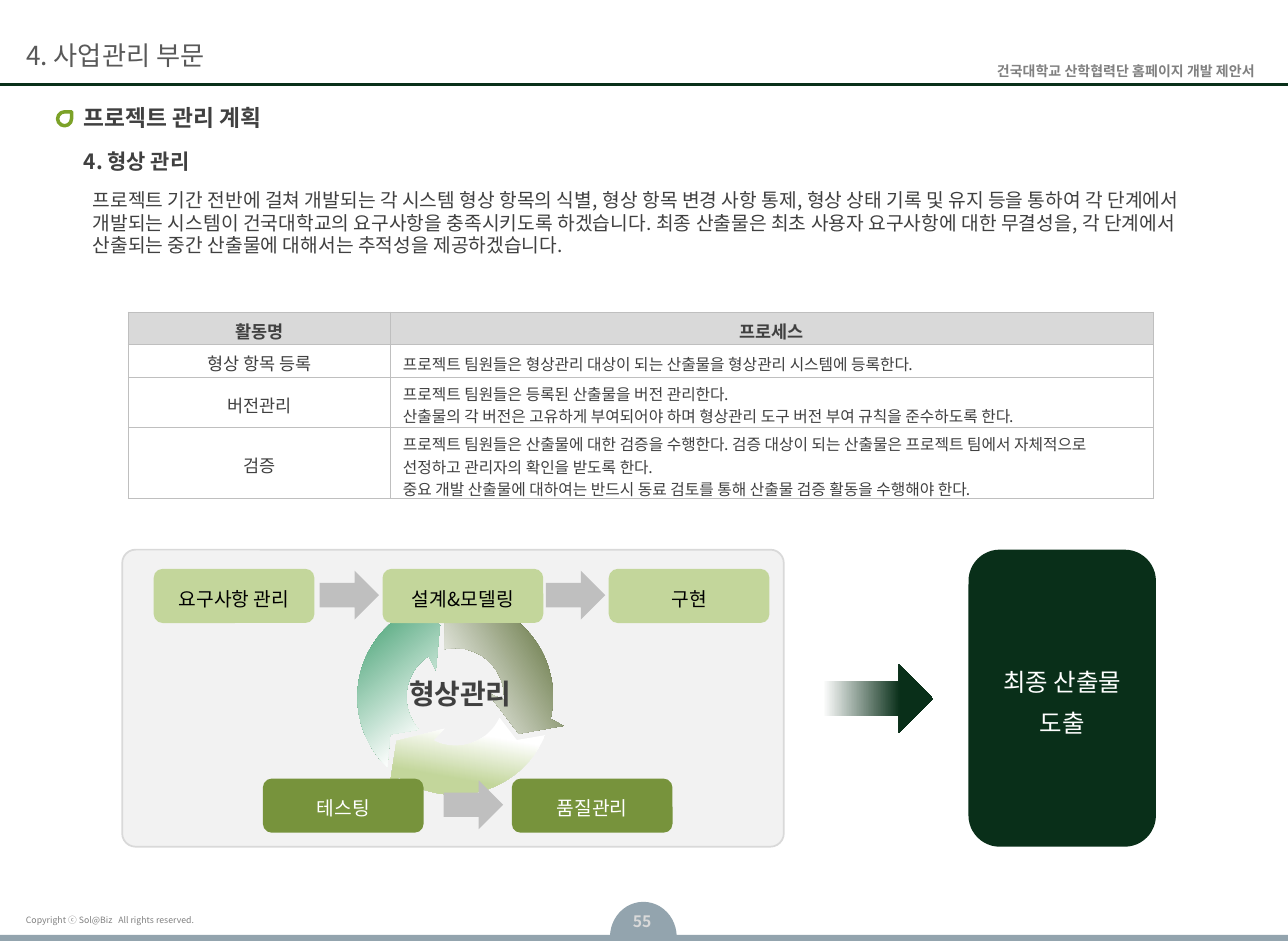
from collections import namedtuple
from dataclasses import dataclass
from math import cos, radians, sin

from lxml.etree import SubElement
from pptx import Presentation
from pptx.dml.color import RGBColor
from pptx.enum.shapes import MSO_CONNECTOR, MSO_SHAPE
from pptx.enum.text import MSO_ANCHOR, PP_ALIGN
from pptx.oxml.ns import qn
from pptx.util import Pt

Box = namedtuple("Box", "left top width height")


@dataclass(frozen=True)
class Theme:
    font: str = "Noto Sans CJK KR"
    header_font: str = "Arial"
    text: str = "404040"
    heading: str = "595959"
    muted: str = "808080"
    white: str = "FFFFFF"
    black: str = "000000"
    forest: str = "092F19"
    rule: str = "093019"
    slate: str = "93A4AE"
    leaf: str = "7CA228"
    light_green: str = "C3D69B"
    mid_green: str = "77933C"
    olive: str = "4F6228"
    teal: str = "339966"
    gray: str = "BFBFBF"
    pale_gray: str = "D9D9D9"
    panel: str = "F2F2F2"
    copyright: float = 5
    small: float = 8
    detail: float = 9
    cell: float = 10
    body: float = 11
    subtitle: float = 12
    title: float = 13
    result: float = 14
    section: float = 15
    ring: float = 16


THEME = Theme()
PANEL_INSETS = (7.2, 3.6, 7.2, 5.8)


def rgb(value):
    return RGBColor.from_string(value)


def inside(box, left, top, width, height):
    return Box(box.left + left, box.top + top, width, height)


def write_text(frame, lines, size, color=THEME.text, bold=False, name=THEME.font,
               align=PP_ALIGN.LEFT, spacing=None, anchor=MSO_ANCHOR.TOP, insets=(0, 0, 0, 0)):
    sides = ("margin_left", "margin_top", "margin_right", "margin_bottom")
    layout = dict(zip(sides, map(Pt, insets)), word_wrap=True, vertical_anchor=anchor)
    for key, value in layout.items():
        setattr(frame, key, value)
    for index, line in enumerate(lines):
        para = frame.paragraphs[0] if index == 0 else frame.add_paragraph()
        for key, value in {"alignment": align, "line_spacing": spacing}.items():
            setattr(para, key, value)
        span = para.add_run()
        span.text = line
        for key, value in {"name": name, "size": Pt(size), "bold": bold}.items():
            setattr(span.font, key, value)
        span.font.color.rgb = rgb(color)
        SubElement(span.font._element, qn("a:ea"), typeface=THEME.font)


def add_text(page, box, lines, size, **formats):
    area = page.shapes.add_textbox(*map(Pt, box))
    write_text(area.text_frame, lines, size, **formats)


def paint(shape, fill, line=None, width=1):
    shape.shadow.inherit = False
    if isinstance(fill, str):
        shape.fill.solid()
        shape.fill.fore_color.rgb = rgb(fill)
    else:
        angle, *stops = fill
        shape.fill.gradient()
        shape.fill.gradient_angle = -angle % 360
        for stop, (position, color) in zip(shape.fill.gradient_stops, stops):
            stop.position = position
            stop.color.rgb = rgb(color)
    if line:
        shape.line.color.rgb = rgb(line)
        shape.line.width = Pt(width)
    else:
        shape.line.fill.background()


def add_preset(page, kind, box, fill, line=None, width=1, adjustments=()):
    shape = page.shapes.add_shape(kind, *map(Pt, box))
    for index, value in enumerate(adjustments):
        shape.adjustments[index] = value
    paint(shape, fill, line, width)
    return shape


def draw_header(page, box):
    add_text(page, inside(box, 0, 16, 450, 31), ["4. 사업관리 부문"], THEME.section,
             color=THEME.heading, anchor=MSO_ANCHOR.MIDDLE, insets=(15, 3.6, 6.5, 3.6))
    add_text(page, inside(box, 537.8, 32, 187.2, 17), ["건국대학교 산학협력단 홈페이지 개발 제안서"],
             THEME.small, color=THEME.muted, bold=True, name=THEME.header_font,
             align=PP_ALIGN.RIGHT, insets=(0, 3.6, 6.5, 3.6))
    base = Pt(box.top + box.height)
    rule = page.shapes.add_connector(MSO_CONNECTOR.STRAIGHT, Pt(box.left), base,
                                     Pt(box.left + box.width), base)
    rule.line.color.rgb = rgb(THEME.rule)
    rule.line.width = Pt(1.5)
    SubElement(rule._element.spPr, qn("a:effectLst"))


def draw_footer(page, box):
    add_preset(page, MSO_SHAPE.CHORD, inside(box, 349.2, 0, 38.2, 40.3), THEME.slate,
               adjustments=(108.41, 214.66))
    add_preset(page, MSO_SHAPE.RECTANGLE, inside(box, 0, 18.8, box.width, 3.6), THEME.slate)
    add_text(page, inside(box, 9, 4.4, 188, 13), ["Copyright ⓒ Sol@Biz   All rights reserved."],
             THEME.copyright, color=THEME.muted, insets=(5.8, 2.9, 5.8, 2.9))
    add_text(page, inside(box, 349.2, 2, 36.7, 20), ["55"], THEME.detail, color=THEME.pale_gray,
             bold=True, align=PP_ALIGN.CENTER, insets=(6.5, 3.6, 6.5, 3.6))


def draw_introduction(page, box):
    add_preset(page, MSO_SHAPE.TEAR, inside(box, 0, 5, 8, 8), THEME.white, THEME.leaf, 2)
    add_text(page, inside(box, 15, 0.5, 600, 16), ["프로젝트 관리 계획"], THEME.title, bold=True)
    add_text(page, inside(box, 15, 26, 365, 15), ["4. 형상 관리"], THEME.subtitle, bold=True)
    statement = (
        "프로젝트 기간 전반에 걸쳐 개발되는 각 시스템 형상 항목의 식별, 형상 항목 변경 사항 통제, "
        "형상 상태 기록 및 유지 등을 통하여 각 단계에서 개발되는 시스템이 건국대학교의 요구사항을 "
        "충족시키도록 하겠습니다. 최종 산출물은 최초 사용자 요구사항에 대한 무결성을, 각 단계에서 "
        "산출되는 중간 산출물에 대해서는 추적성을 제공하겠습니다.")
    add_text(page, inside(box, 13, 46, 666.7, 55.4), [statement], THEME.body,
             spacing=0.98, insets=(7.2, 3.6, 7.2, 3.6))


def add_borders(cell):
    properties = cell._tc.get_or_add_tcPr()
    for side in ("a:lnL", "a:lnR", "a:lnT", "a:lnB"):
        line = SubElement(properties, qn(side), w=str(Pt(0.5)))
        SubElement(SubElement(line, qn("a:solidFill")), qn("a:srgbClr"), val=THEME.gray)


def draw_activity_table(page, box):
    rows = [
        ("활동명", ["프로세스"], 18.7),
        ("형상 항목 등록", ["프로젝트 팀원들은 형상관리 대상이 되는 산출물을 형상관리 시스템에 등록한다."], 18.7),
        ("버전관리", ["프로젝트 팀원들은 등록된 산출물을 버전 관리한다.",
                  "산출물의 각 버전은 고유하게 부여되어야 하며 형상관리 도구 버전 부여 규칙을 준수하도록 한다."], 28.8),
        ("검증", ["프로젝트 팀원들은 산출물에 대한 검증을 수행한다. 검증 대상이 되는 산출물은 "
                "프로젝트 팀에서 자체적으로 선정하고 관리자의 확인을 받도록 한다.",
                "중요 개발 산출물에 대하여는 반드시 동료 검토를 통해 산출물 검증 활동을 수행해야 한다."], 40.4),
    ]
    table = page.shapes.add_table(len(rows), 2, *map(Pt, box)).table
    table.first_row = table.horz_banding = False
    for column, width in zip(table.columns, (150, box.width - 150)):
        column.width = Pt(width)
    for row, (activity, process, height) in enumerate(rows):
        table.rows[row].height = Pt(height)
        for column, lines in enumerate(([activity], process)):
            cell = table.cell(row, column)
            is_detail = row > 0 and column == 1
            write_text(cell.text_frame, lines, THEME.detail if is_detail else THEME.cell,
                       bold=row == 0, align=PP_ALIGN.LEFT if is_detail else PP_ALIGN.CENTER)
            margins = {"margin_left": 7.2, "margin_top": 2.5, "margin_right": 7.2, "margin_bottom": 0}
            for key, value in margins.items():
                setattr(cell, key, Pt(value))
            cell.vertical_anchor = MSO_ANCHOR.MIDDLE
            add_borders(cell)
            cell.fill.solid()
            cell.fill.fore_color.rgb = rgb(THEME.white if row else THEME.pale_gray)


def draw_ring_arrow(page, center, angles, fill):
    start, notch, inner_start, outer_end, barb, tip, inner_barb, inner_end = angles
    steps = range(25)
    outer = [(56, start + (outer_end - start) * step / 24) for step in steps]
    inner = [(28, inner_end + (inner_start - inner_end) * step / 24) for step in steps]
    polar = outer + [(64, barb), (42, tip), (19, inner_barb)] + inner + [(43, notch)]
    points = [(Pt(center[0] + radius * cos(radians(angle))),
               Pt(center[1] + radius * sin(radians(angle)))) for radius, angle in polar]
    builder = page.shapes.build_freeform(*points[0])
    builder.add_line_segments(points[1:], close=True)
    paint(builder.convert_to_shape(), fill)


def draw_process_panel(page, box):
    add_preset(page, MSO_SHAPE.ROUNDED_RECTANGLE, box, THEME.panel, THEME.pale_gray, 1, (0.045,))
    ring_arrows = [
        ((-112, -98, -103, 13, 15, 30, -6, 3), (150, (0, THEME.olive), (0.82, THEME.white))),
        ((134, 150, 138, 238, 239, 258, 234, 237), (50, (0, THEME.teal), (0.82, THEME.white))),
        ((23, 35, 25, 125, 126, 143, 108, 117), (100, (0.27, THEME.white), (0.74, THEME.light_green))),
    ]
    for angles, fill in ring_arrows:
        draw_ring_arrow(page, (box.left + 190.6, box.top + 84.3), angles, fill)
    add_text(page, inside(box, 151, 39.6, 85, 85), ["형상관리"], THEME.ring, bold=True,
             align=PP_ALIGN.CENTER, anchor=MSO_ANCHOR.MIDDLE)
    stages = [
        (11, THEME.light_green, THEME.black,
         [(18, "요구사항 관리"), (149, "설계&모델링"), (278.5, "구현")], (113, 242.5)),
        (131, THEME.mid_green, THEME.white, [(80.5, "테스팅"), (223, "품질관리")], (184,)),
    ]
    for top, fill, color, steps, arrows in stages:
        for left, label in steps:
            step = add_preset(page, MSO_SHAPE.ROUNDED_RECTANGLE, inside(box, left, top, 92, 31), fill)
            write_text(step.text_frame, [label], THEME.body, color=color, align=PP_ALIGN.CENTER,
                       spacing=1.4, anchor=MSO_ANCHOR.MIDDLE, insets=PANEL_INSETS)
        for left in arrows:
            add_preset(page, MSO_SHAPE.RIGHT_ARROW, inside(box, left, top + 1, 34, 28), THEME.gray)


def draw_result(page, box):
    fade = (0, (0.23, THEME.white), (0.77, THEME.forest))
    add_preset(page, MSO_SHAPE.RIGHT_ARROW, inside(box, 0, 65.5, 82, 39.6), fade)
    result = add_preset(page, MSO_SHAPE.ROUNDED_RECTANGLE,
                        inside(box, 102.2, 0, 107.3, box.height), THEME.forest)
    write_text(result.text_frame, ["최종 산출물", "도출"], THEME.result, color=THEME.white,
               align=PP_ALIGN.CENTER, spacing=1.4, anchor=MSO_ANCHOR.MIDDLE, insets=PANEL_INSETS)


def main():
    deck = Presentation()
    deck.slide_width, deck.slide_height = Pt(737.28), Pt(538.56)
    page = deck.slides.add_slide(deck.slide_layouts[6])
    draw_footer(page, Box(0, 516.2, 737.28, 22.4))
    draw_header(page, Box(0, 0, 737.28, 48.2))
    draw_introduction(page, Box(33, 59, 680, 101))
    draw_process_panel(page, Box(70, 314.6, 378.7, 170))
    draw_activity_table(page, Box(73.4, 178.6, 586.8, 106.6))
    draw_result(page, Box(452.2, 314.6, 209.5, 170))
    deck.save("out.pptx")


if __name__ == "__main__":
    main()
